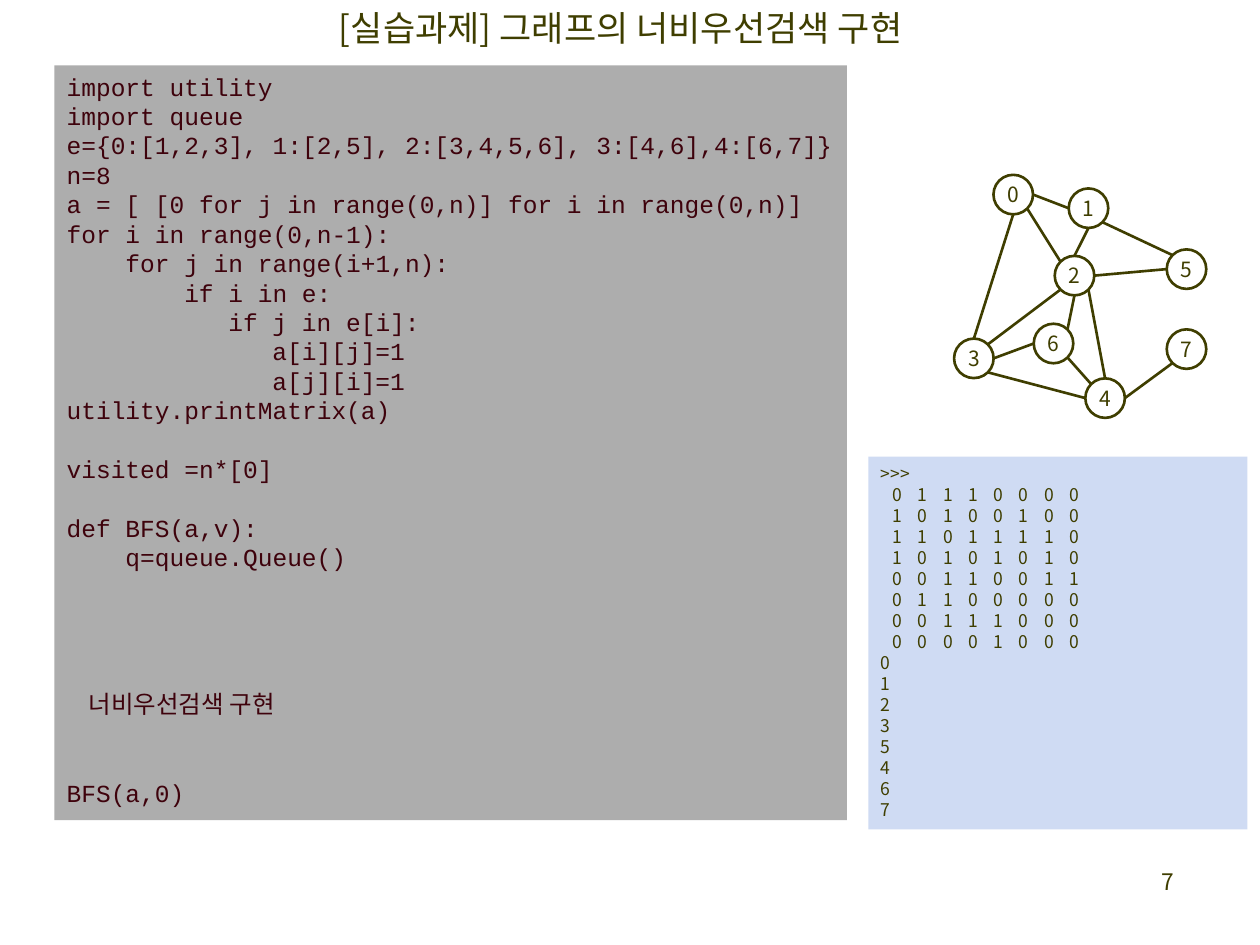
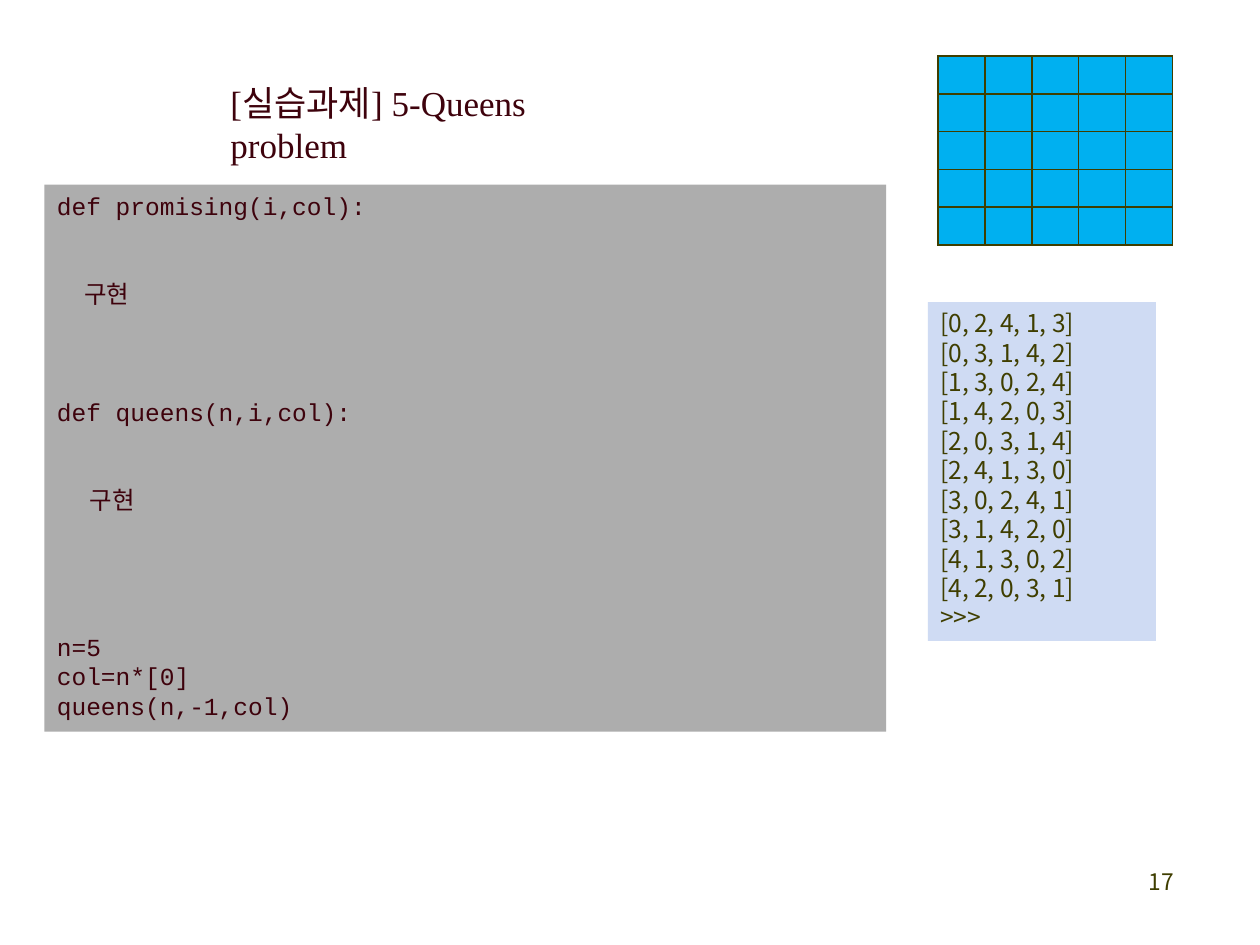
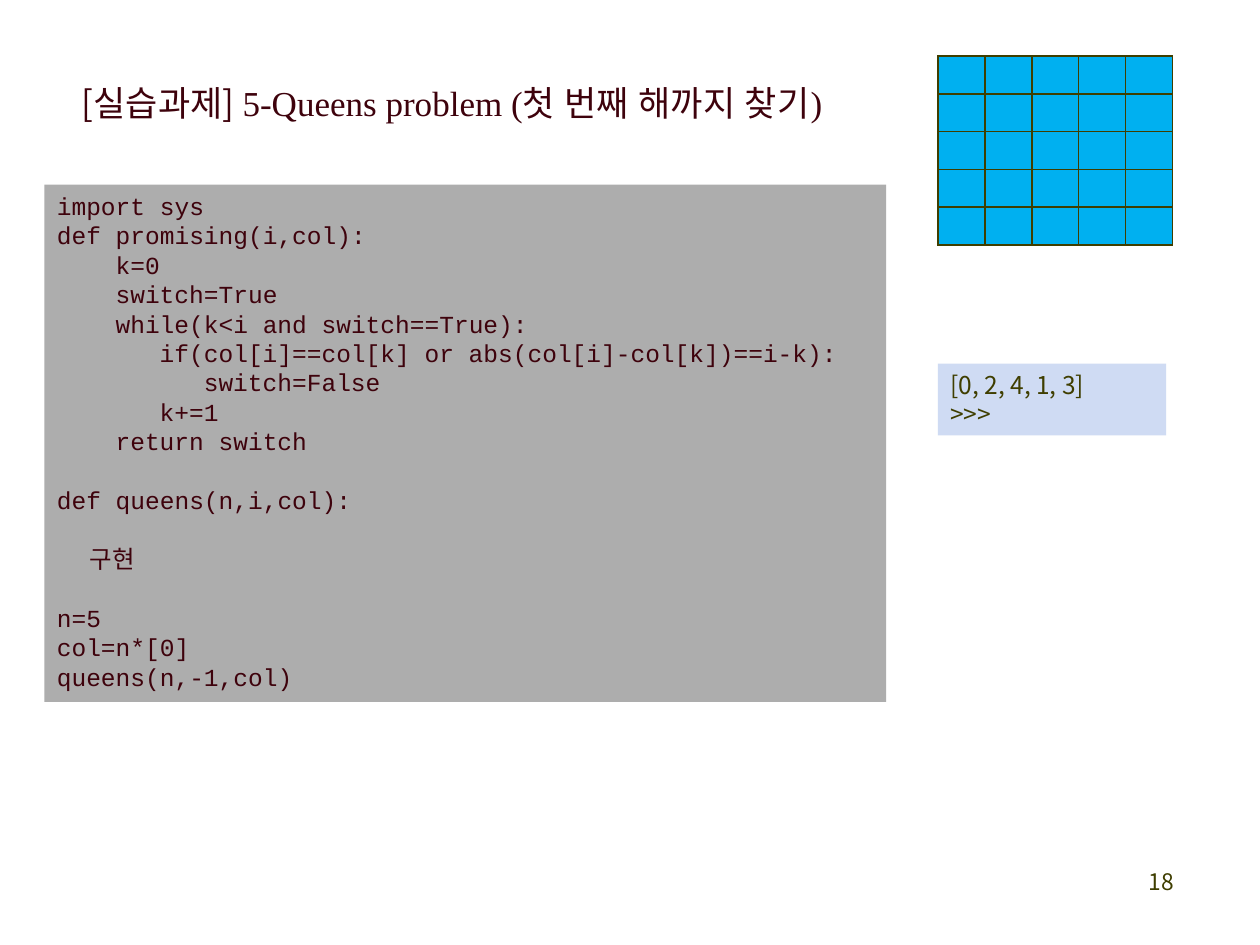
from math import cos, radians, sin

from lxml import etree
from pptx import Presentation
from pptx.dml.color import RGBColor
from pptx.enum.shapes import MSO_CONNECTOR, MSO_SHAPE
from pptx.enum.text import MSO_ANCHOR, MSO_AUTO_SIZE, PP_ALIGN
from pptx.oxml.ns import qn
from pptx.util import Pt

RECT, OVAL = MSO_SHAPE.RECTANGLE, MSO_SHAPE.OVAL
LINE = MSO_CONNECTOR.STRAIGHT
TOP, MIDDLE = MSO_ANCHOR.TOP, MSO_ANCHOR.MIDDLE
LEFT, CENTER, RIGHT = PP_ALIGN.LEFT, PP_ALIGN.CENTER, PP_ALIGN.RIGHT
FIXED = MSO_AUTO_SIZE.NONE

HUES = {"olive": "3F3E00", "wine": "3E020C", "gray": "ADADAD",
        "pale": "CFDBF3", "sky": "00B0F0"}
SANS, SERIF, MONO = "Noto Sans CJK KR", "Times New Roman", "Courier New"
LEAD = 1.2  # line height per point of type
PITCH = {MONO: 0.6, SANS: 0.224}  # width of a space per point of type

# ---- Content: leading spaces become indents, empty lines become space ----
BFS = """import utility
import queue
e={0:[1,2,3], 1:[2,5], 2:[3,4,5,6], 3:[4,6],4:[6,7]}
n=8
a = [ [0 for j in range(0,n)] for i in range(0,n)]
for i in range(0,n-1):
    for j in range(i+1,n):
        if i in e:
           if j in e[i]:
              a[i][j]=1
              a[j][i]=1
utility.printMatrix(a)

visited =n*[0]

def BFS(a,v):
    q=queue.Queue()




    너비우선검색 구현


BFS(a,0)"""

QUEENS = """def promising(i,col):


     구현



def queens(n,i,col):


      구현




n=5
col=n*[0]
queens(n,-1,col)"""

FIRST = """import sys
def promising(i,col):
    k=0
    switch=True
    while(k<i and switch==True):
       if(col[i]==col[k] or abs(col[i]-col[k])==i-k):
          switch=False
       k+=1
    return switch

def queens(n,i,col):

      구현

n=5
col=n*[0]
queens(n,-1,col)"""

FOUND = """[0, 2, 4, 1, 3]
[0, 3, 1, 4, 2]
[1, 3, 0, 2, 4]
[1, 4, 2, 0, 3]
[2, 0, 3, 1, 4]
[2, 4, 1, 3, 0]
[3, 0, 2, 4, 1]
[3, 1, 4, 2, 0]
[4, 1, 3, 0, 2]
[4, 2, 0, 3, 1]
>>>"""

# Node centres, and edges as (node, side, node, side)
NODES = [(579, 111.2), (622, 119), (614, 157.5), (556.5, 204.8),
         (631.5, 227.5), (678, 153.8), (602, 196.3), (678, 199.5)]
EDGES = [(0, "S", 3, "N"), (3, "NE", 2, "SW"), (1, "S", 2, "N"),
         (1, "SE", 5, "NW"), (0, "E", 1, "W"), (2, "S", 6, "NE"),
         (6, "W", 3, "E"), (6, "SE", 4, "NW"), (4, "E", 7, "SW"),
         (5, "W", 2, "E"), (4, "W", 3, "SE"), (2, "SE", 4, "N"),
         (0, "SE", 2, "NW")]
SIDES = ["E", "SE", "S", "SW", "W", "NW", "N", "NE"]  # every 45 degrees
SIZE = 22.6
VISITS = [0, 1, 2, 3, 5, 4, 6, 7]
TRACK = 3.35  # letter spacing that sets the matrix columns apart

# Title runs are (words, font) or (words, font, letter spacing)
SLIDES = [
    {"page": 7, "hue": "olive", "at": (186.5, 0, 378, 31.7),
     "title": [("[실습과제] 그래프의 너비우선검색 구현", SANS)],
     "code": BFS, "code_at": (31, 37.4, 453, 431.3)},
    {"page": 17, "hue": "wine", "at": (124.5, 43.2, 252, 56),
     "title": [("[실습과제] 5-Queens problem", SERIF)],
     "code": QUEENS, "code_at": (25.4, 105.6, 481, 312.6),
     "out": FOUND, "out_at": (530.2, 172.6, 130.4, 193.6)},
    {"page": 18, "hue": "wine", "at": (39.6, 43.2, 466.6, 31.7),
     "title": [("[실습과제] ", SANS), ("5-Queens problem (", SERIF),
               ("첫 번째 해까지 찾기)", SERIF, 0.3)],
     "code": FIRST, "code_at": (25.4, 105.6, 481, 295.6),
     "out": "[0, 2, 4, 1, 3]\n>>>", "out_at": (536, 207.8, 130.4, 41)},
]
BOARD = (536, 32, 134, 108)
COUNT = 5


# ---- Helpers ----
def rgb(name):
    return RGBColor.from_string(HUES[name])


def apply(obj, vals):
    for key, val in vals.items():
        setattr(obj, key, val)


def place(shape, box):
    apply(shape, dict(zip(("left", "top", "width", "height"), map(Pt, box))))


def frame(shape, anchor=TOP, **more):
    text = shape.text_frame
    apply(text, {"word_wrap": True, "auto_size": FIXED,
                 "vertical_anchor": anchor, **more})
    return text


def track(run, space):
    run._r.get_or_add_rPr().set("spc", str(round(space * 100)))


def write(para, runs, size, hue, align=LEFT, gap=0):
    apply(para, {"alignment": align, "line_spacing": Pt(size * LEAD),
                 "space_before": Pt(gap), "space_after": Pt(0)})
    for words, font, *space in runs:
        run = para.add_run()
        run.text = words
        apply(run.font, {"size": Pt(size), "name": font})
        run.font.color.rgb = rgb(hue)
        east = etree.SubElement(run._r.get_or_add_rPr(), qn("a:ea"))
        east.set("typeface", SANS)
        if space:
            track(run, space[0])


def draw(slide, kind, box, fill=None):
    shape = slide.shapes.add_shape(kind, *map(Pt, box))
    shape.shadow.inherit = False
    if fill:
        shape.fill.solid()
        shape.fill.fore_color.rgb = rgb(fill)
        shape.line.fill.background()
    else:
        shape.fill.background()
        ink(shape.line)
    return shape


def ink(line):
    line.color.rgb = rgb("olive")
    line.width = Pt(1.5)


def panel(slide, box, fill, words, font, size, hue):
    text = frame(draw(slide, RECT, box, fill))
    blank, fresh = 0, True
    for row in words.split("\n"):
        if not row.strip():
            blank += 1
            continue
        para = text.paragraphs[0] if fresh else text.add_paragraph()
        body = row.lstrip(" ")
        write(para, [(body, font)], size, hue, gap=blank * size * LEAD)
        pitch = PITCH[font if body.isascii() else SANS]
        prop = para._p.get_or_add_pPr()
        prop.set("marL", str(Pt((len(row) - len(body)) * pitch * size)))
        prop.set("indent", "0")
        blank, fresh = 0, False
    return text


# ---- Parts ----
def base(deck, item):
    slide = deck.slides.add_slide(deck.slide_layouts[5])
    head = slide.shapes.title
    place(head, item["at"])
    write(frame(head).paragraphs[0], item["title"], 20, item["hue"])
    page = slide.shapes.add_textbox(*map(Pt, (528.2, 492.2, 149.8, 36)))
    write(frame(page).paragraphs[0], [(str(item["page"]), SANS)], 13,
          "olive", RIGHT)
    panel(slide, item["code_at"], "gray", item["code"], MONO, 14, "wine")
    return slide


def rim(node, side):
    turn = radians(45 * SIDES.index(side))
    x, y = NODES[node]
    return Pt(x + SIZE / 2 * cos(turn)), Pt(y + SIZE / 2 * sin(turn))


def graph(slide):
    flat = dict.fromkeys(("margin_left", "margin_top", "margin_right",
                          "margin_bottom"), 0)
    for num, (x, y) in enumerate(NODES):
        dot = draw(slide, OVAL, (x - SIZE / 2, y - SIZE / 2, SIZE, SIZE))
        write(frame(dot, MIDDLE, **flat).paragraphs[0], [(str(num), SANS)],
              12, "olive", CENTER)
    for a, out, b, into in EDGES:
        link = slide.shapes.add_connector(LINE, *rim(a, out), *rim(b, into))
        ink(link.line)
        etree.SubElement(link._element.spPr, qn("a:effectLst"))


def matrix(slide):
    span = range(len(NODES))
    pairs = {frozenset((a, b)) for a, _, b, _ in EDGES}
    grid = ["   " + " ".join(str(int(frozenset((i, j)) in pairs))
                             for j in span) for i in span]
    words = "\n".join([">>>", *grid, *map(str, VISITS)])
    text = panel(slide, (496.2, 261, 216.6, 213), "pale", words, SANS, 10,
                 "olive")
    for para in text.paragraphs[1:len(NODES) + 1]:
        track(para.runs[0], TRACK)


def board(slide):
    table = slide.shapes.add_table(COUNT, COUNT, *map(Pt, BOARD)).table
    apply(table, {"first_row": False, "horz_banding": False})
    for col in table.columns:
        col.width = Pt(BOARD[2] / COUNT)
    for row in table.rows:
        row.height = Pt(BOARD[3] / COUNT)
    for cell in table.iter_cells():
        apply(cell, {"margin_top": 0, "margin_bottom": 0})
        prop = cell._tc.get_or_add_tcPr()
        for side in ("lnL", "lnR", "lnT", "lnB"):
            edge = etree.SubElement(prop, qn("a:" + side), w=str(Pt(1)))
            fill = etree.SubElement(edge, qn("a:solidFill"))
            etree.SubElement(fill, qn("a:srgbClr"), val=HUES["olive"])
        cell.fill.solid()
        cell.fill.fore_color.rgb = rgb("sky")
        para = cell.text_frame.paragraphs[0]._p
        etree.SubElement(para, qn("a:endParaRPr"), sz="1000")


def main():
    deck = Presentation()
    apply(deck, {"slide_width": Pt(720), "slide_height": Pt(540)})
    for item in SLIDES:
        slide = base(deck, item)
        if "out" in item:
            panel(slide, item["out_at"], "pale", item["out"], SANS, 14,
                  "olive")
            board(slide)
        else:
            graph(slide)
            matrix(slide)
    deck.save("out.pptx")


if __name__ == "__main__":
    main()
